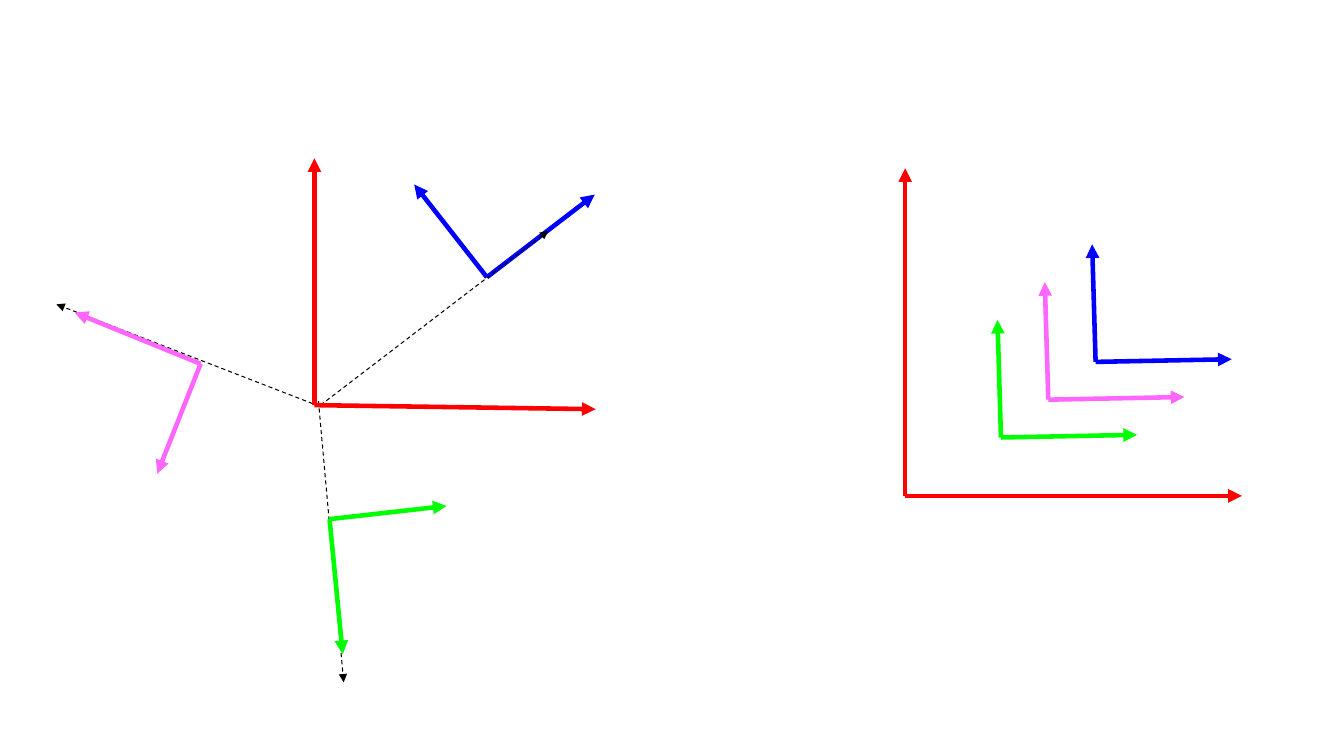
from lxml import etree
from pptx import Presentation
from pptx.dml.color import RGBColor
from pptx.enum.dml import MSO_LINE
from pptx.enum.shapes import MSO_CONNECTOR
from pptx.oxml.ns import qn
from pptx.util import Pt

STRAIGHT = MSO_CONNECTOR.STRAIGHT
DASH = MSO_LINE.DASH

RED = RGBColor(0xFF, 0x00, 0x00)
GREEN = RGBColor(0x00, 0xFF, 0x00)
BLUE = RGBColor(0x00, 0x00, 0xFF)
PINK = RGBColor(0xFF, 0x66, 0xFF)
BLACK = RGBColor(0x00, 0x00, 0x00)


class FrameDiagram:
    axis_format = {"width": Pt(3.25)}
    ray_format = {"width": Pt(0.75), "dash_style": DASH}

    def __init__(self, slide):
        self.slide = slide

    def arrow(self, start, end, color, line_format):
        connector = self.slide.shapes.add_connector(
            STRAIGHT, *(Pt(value) for value in (*start, *end)))
        line = connector.line
        line.color.rgb = color
        for name, value in line_format.items():
            setattr(line, name, value)
        etree.SubElement(line._get_or_add_ln(), qn("a:tailEnd"), type="triangle")
        etree.SubElement(connector._element.spPr, qn("a:effectLst"))

    def ray(self, start, end):
        self.arrow(start, end, BLACK, self.ray_format)

    def frame(self, origin, x_tip, y_tip, color):
        """Draw the two axes of a coordinate frame from their shared origin."""
        for tip in (x_tip, y_tip):
            self.arrow(origin, tip, color, self.axis_format)


def draw_rotated_frames(diagram):
    diagram.frame((347.8, 198), (424.8, 139), (295.9, 131.8), BLUE)
    for start, end in (
        ((228.2, 290.2), (40.3, 217.4)),
        ((227.5, 286.6), (245.5, 487.4)),
        ((229, 289.4), (391.7, 164.9)),
    ):
        diagram.ray(start, end)
    diagram.frame((224.6, 289.4), (425.5, 292.3), (224.6, 113), RED)
    diagram.frame((143.3, 259.9), (53.3, 223.2), (112.3, 338.4), PINK)
    diagram.frame((235.4, 370.8), (244.8, 467.3), (319, 361.4), GREEN)


def draw_aligned_frames(diagram):
    diagram.frame((646.6, 354.2), (887, 354.2), (646.6, 120.2), RED)
    first_x, first_y = 782.6, 258.5
    step_x, step_y = -33.8, 27
    for index, color in enumerate((BLUE, PINK, GREEN)):
        x, y = first_x + index * step_x, first_y + index * step_y
        diagram.frame((x, y), (x + 97.2, y - 1.9), (x - 2.5, y - 84), color)


def main():
    presentation = Presentation()
    presentation.slide_width, presentation.slide_height = Pt(960), Pt(540)
    blank_layout = presentation.slide_layouts[6]
    diagram = FrameDiagram(presentation.slides.add_slide(blank_layout))
    draw_rotated_frames(diagram)
    draw_aligned_frames(diagram)
    presentation.save("out.pptx")


if __name__ == "__main__":
    main()
